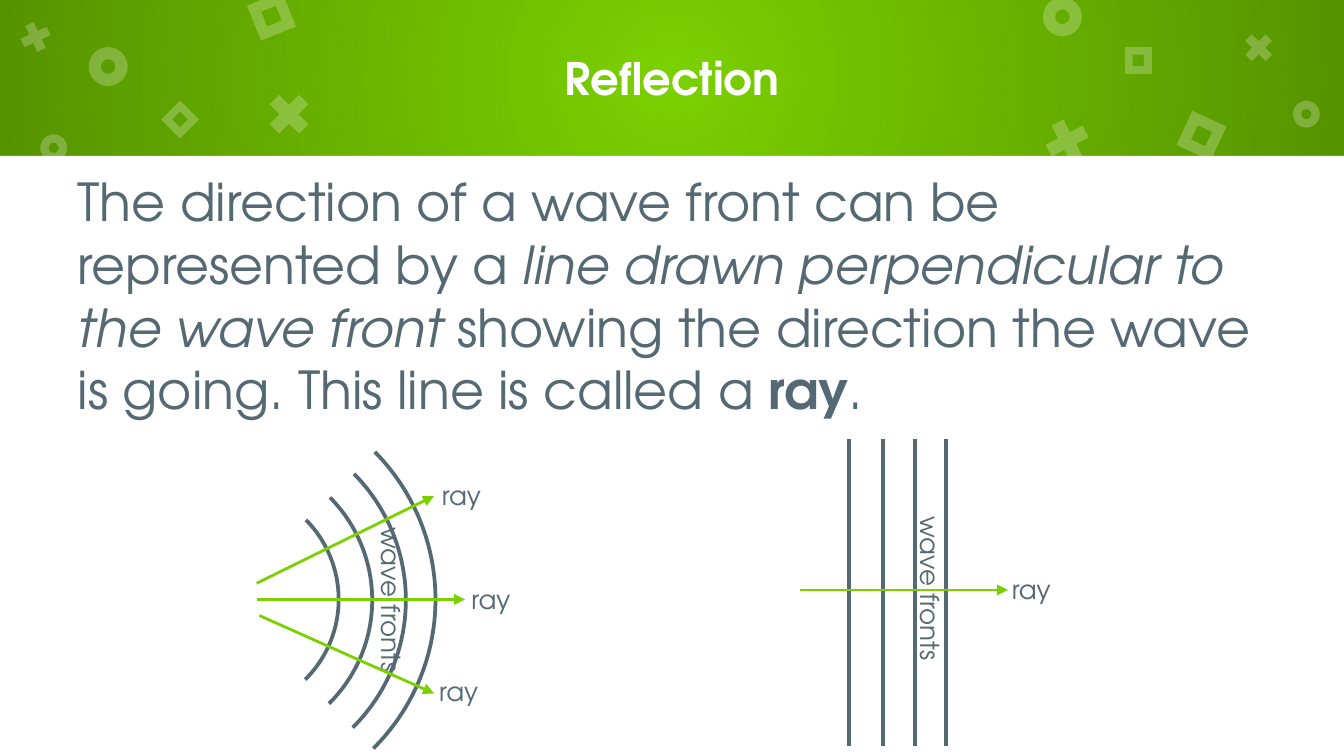
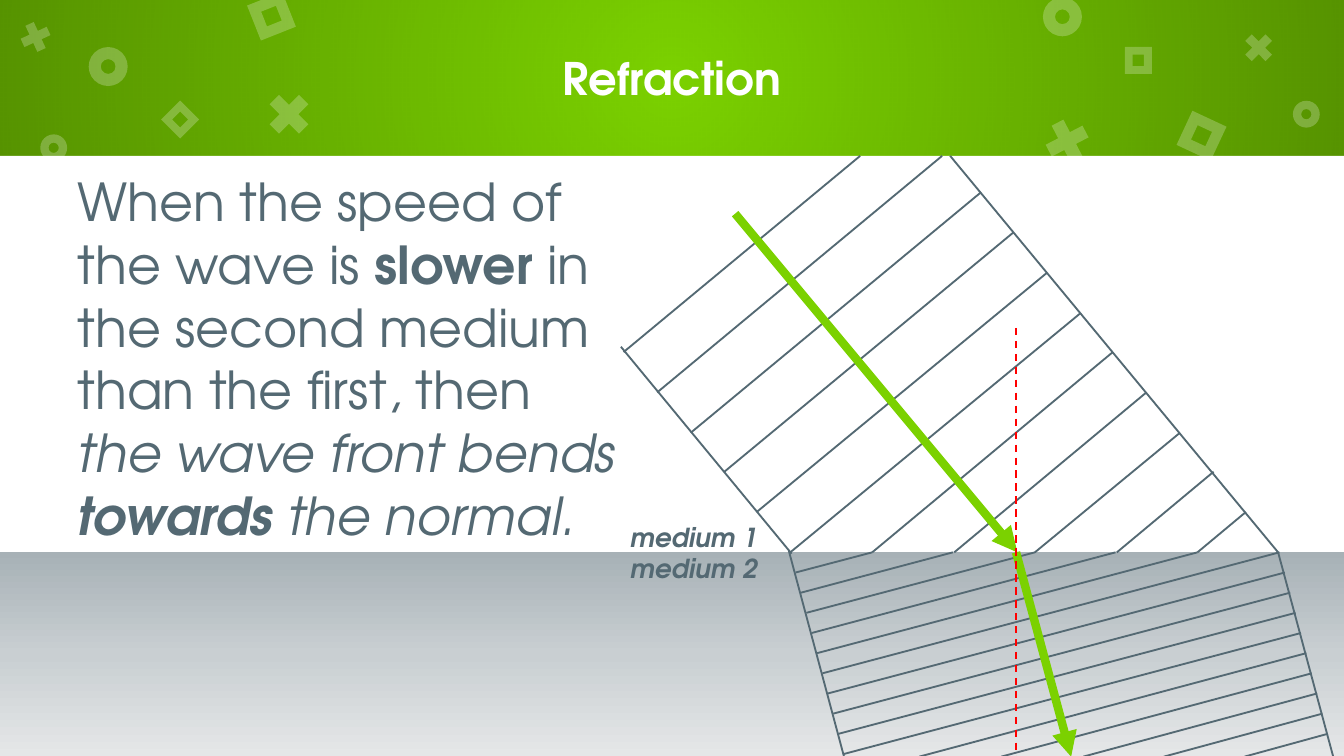
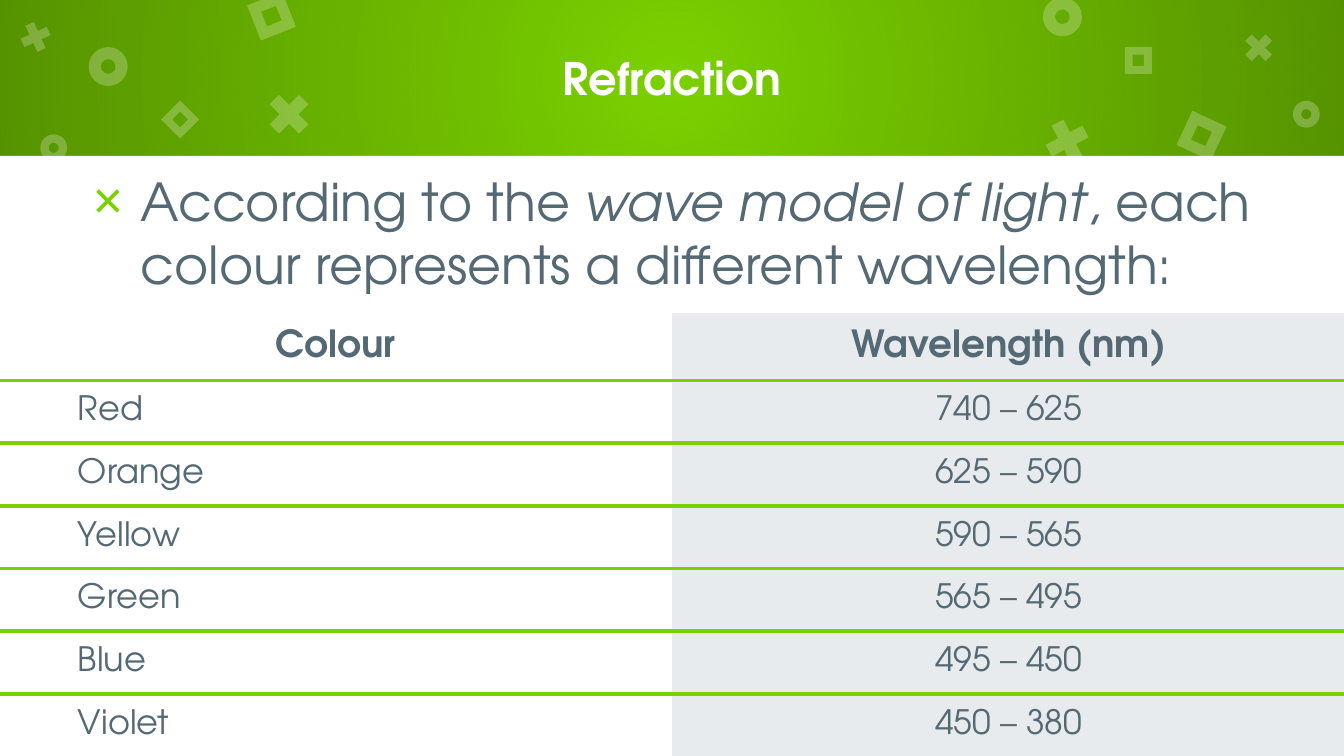
from dataclasses import dataclass

from lxml import etree
from pptx import Presentation
from pptx.dml.color import RGBColor
from pptx.enum.dml import MSO_LINE
from pptx.enum.shapes import MSO_CONNECTOR, MSO_SHAPE
from pptx.enum.text import MSO_ANCHOR, PP_ALIGN
from pptx.oxml import parse_xml
from pptx.oxml.ns import nsdecls, qn
from pptx.util import Pt

RECT, ARC = MSO_SHAPE.RECTANGLE, MSO_SHAPE.ARC
DONUT, CROSS, FRAME = MSO_SHAPE.DONUT, MSO_SHAPE.MATH_MULTIPLY, MSO_SHAPE.FRAME
STRAIGHT, DASH = MSO_CONNECTOR.STRAIGHT, MSO_LINE.DASH
LEFT, CENTER = PP_ALIGN.LEFT, PP_ALIGN.CENTER
TOP, MIDDLE = MSO_ANCHOR.TOP, MSO_ANCHOR.MIDDLE

EMU_PER_PX = 9144
SLIDE_W, BAND_H = 1000, 116
BOTTOM = 563  # the 16:9 height, rounded up to a whole px
PLAIN_TABLE = "{2D5ABB26-0587-4C30-8999-92F81FD0307C}"

ORNAMENT_CUT = {DONUT: 0.31, CROSS: 0.235, FRAME: 0.289}
ORNAMENTS = [
    (DONUT, 66, 35, 29, 0), (CROSS, 194, 64, 42, 0), (FRAME, 188, -2, 28, 338.4),
    (DONUT, 776, -2, 29, 0), (CROSS, 773, 84, 42, 17.5), (FRAME, 880, 87, 28, 25),
    (DONUT, 30, 100, 20, 0), (CROSS, 12, 13, 29, 20.4), (FRAME, 124, 79, 20, 45),
    (DONUT, 962, 75, 20, 0), (CROSS, 922, 21, 29, 0), (FRAME, 837, 35, 20, 0),
]


@dataclass(frozen=True)
class Theme:
    font: str = "TeX Gyre Adventor"
    green: str = "7BD100"
    ink: str = "546973"
    white: str = "FFFFFF"
    normal: str = "FF0000"
    column: str = "667F8C"
    band: tuple = ((0, "000000", 0), (100, "000000", 30))
    medium: tuple = ((0, "A7B1B6", 100), (50, "C9CFD2", 100), (100, "E5E7E8", 100))
    title: int = 24
    body: int = 28
    head: int = 20
    cell: int = 18
    label: int = 14


def px(length):
    return length * EMU_PER_PX


def rgb(code):
    return RGBColor.from_string(code)


def solid(fill, properties, color, alpha=100):
    """Fill with a colour; alpha is the opacity in percent."""
    fill.solid()
    fill.fore_color.rgb = rgb(color)
    if alpha < 100:
        tone = properties.find(qn("a:solidFill"))[0]
        etree.SubElement(tone, qn("a:alpha")).set("val", str(alpha * 1000))


class Deck:
    def __init__(self, theme):
        self.theme = theme
        self.presentation = Presentation()
        self.presentation.slide_width = px(SLIDE_W)
        self.presentation.slide_height = px(SLIDE_W) * 9 // 16
        self.slide = None

    def new_slide(self, title):
        theme = self.theme
        self.slide = self.presentation.slides.add_slide(self.presentation.slide_layouts[6])
        solid(self.slide.background.fill, None, theme.green)
        radial = ('<a:path path="circle"><a:fillToRect l="50000" t="50000" '
                  'r="50000" b="50000"/></a:path>')
        self.gradient((0, 0, SLIDE_W, BAND_H), theme.band, radial)
        page = self.shape(RECT, (0, BAND_H, SLIDE_W, BOTTOM - BAND_H))
        solid(page.fill, None, theme.white)
        for kind, x, y, size, turn in ORNAMENTS:
            ornament = self.shape(kind, (x, y, size, size), turn)
            ornament.adjustments[0] = ORNAMENT_CUT[kind]
            solid(ornament.fill, ornament._element.spPr, theme.white, 24)
        self.text((95, 0, 810, BAND_H), [[(title, "b")]], theme.title, theme.white,
                  CENTER, MIDDLE, inset=10)

    def shape(self, kind, box, turn=0):
        shape = self.slide.shapes.add_shape(kind, *map(px, box))
        shape.shadow.inherit = False
        shape.line.fill.background()
        shape.rotation = turn
        return shape

    def gradient(self, box, stops, direction):
        """Draw a rectangle with (position, colour, opacity) stops."""
        panel = self.shape(RECT, box)
        panel.fill.background()
        properties = panel._element.spPr
        steps = "".join(
            f'<a:gs pos="{place * 1000}"><a:srgbClr val="{color}">'
            f'<a:alpha val="{alpha * 1000}"/></a:srgbClr></a:gs>'
            for place, color, alpha in stops)
        blend = parse_xml(f'<a:gradFill {nsdecls("a")} rotWithShape="1">'
                          f'<a:gsLst>{steps}</a:gsLst>{direction}</a:gradFill>')
        properties.replace(properties.find(qn("a:noFill")), blend)

    def arc(self, center, diameter, turn):
        x, y = center
        front = self.shape(ARC, (x - diameter // 2, y - diameter // 2, diameter, diameter), turn)
        front.fill.background()
        front.line.color.rgb = rgb(self.theme.ink)
        front.line.width = Pt(2)

    def line(self, start, end, color, width, arrow=False, dash=None):
        line = self.slide.shapes.add_connector(STRAIGHT, *map(px, start + end))
        line.line.color.rgb = rgb(color)
        line.line.width = Pt(width)
        if dash:
            line.line.dash_style = dash
        properties = line._element.spPr
        if arrow:
            tip = etree.SubElement(properties.find(qn("a:ln")), qn("a:tailEnd"))
            tip.set("type", "triangle")
        etree.SubElement(properties, qn("a:effectLst"))

    def runs(self, paragraph, runs, size, color):
        """Add (text, style) runs; the style holds b for bold, i for italic."""
        for words, style in runs:
            run = paragraph.add_run()
            run.text = words
            font = run.font
            font.name, font.size, font.color.rgb = self.theme.font, Pt(size), rgb(color)
            font.bold, font.italic = "b" in style, "i" in style

    def text(self, box, paragraphs, size, color, align=LEFT, anchor=TOP, inset=None, turn=0):
        holder = self.slide.shapes.add_textbox(*map(px, box))
        holder.rotation = turn
        frame = holder.text_frame
        frame.word_wrap = True
        frame.vertical_anchor = anchor
        if inset is not None:
            frame.margin_left = frame.margin_right = px(inset)
            frame.margin_top = frame.margin_bottom = px(inset)
        for index, runs in enumerate(paragraphs):
            paragraph = frame.add_paragraph() if index else frame.paragraphs[0]
            paragraph.alignment = align
            self.runs(paragraph, runs, size, color)
        return frame

    def body(self, width, runs):
        return self.text((48, BAND_H, width, 422), [runs], self.theme.body,
                         self.theme.ink, inset=10)

    def label(self, box, words, align=LEFT, turn=0):
        self.text(box, [[(words, "")]], self.theme.label, self.theme.ink, align, turn=turn)

    def ray(self, start, end, label_at):
        self.line(start, end, self.theme.green, 1.5, arrow=True)
        self.label((*label_at, 50, 34), "ray")

    def bullet(self, paragraph, mark):
        properties = paragraph._p.get_or_add_pPr()
        properties.set("marL", str(px(47)))
        properties.set("indent", str(px(-36)))
        tone = etree.SubElement(properties, qn("a:buClr"))
        etree.SubElement(tone, qn("a:srgbClr")).set("val", self.theme.green)
        etree.SubElement(properties, qn("a:buFont")).set("typeface", self.theme.font)
        etree.SubElement(properties, qn("a:buChar")).set("char", mark)

    def table(self, box, head_height, rows):
        x, y, width, height = map(px, box)
        frame = self.slide.shapes.add_table(len(rows), len(rows[0]), x, y, width, height)
        next(frame._element.iter(qn("a:tableStyleId"))).text = PLAIN_TABLE
        table = frame.table
        table.first_row = table.horz_banding = False
        last = len(rows) - 1
        for r, row in enumerate(rows):
            table.rows[r].height = (height - px(head_height)) // last if r else px(head_height)
            for c, words in enumerate(row):
                edges = ["lnT"] * (r > 0) + ["lnB"] * (r < last)
                self.cell(table.cell(r, c), words, r == 0, c == 1, edges)

    def cell(self, cell, words, is_head, is_shaded, edges):
        theme = self.theme
        cell.margin_left = cell.margin_right = px(10)
        cell.margin_top = cell.margin_bottom = px(7)
        cell.vertical_anchor = MIDDLE
        properties = cell._tc.get_or_add_tcPr()
        for edge in edges:
            properties.append(parse_xml(
                f'<a:{edge} {nsdecls("a")} w="{Pt(2.25)}"><a:solidFill>'
                f'<a:srgbClr val="{theme.green}"/></a:solidFill></a:{edge}>'))
        if is_shaded:
            solid(cell.fill, properties, theme.column, 15)
        else:
            cell.fill.background()
        paragraph = cell.text_frame.paragraphs[0]
        if is_head or is_shaded:
            paragraph.alignment = CENTER
        else:
            paragraph._p.get_or_add_pPr().set("marL", str(px(49)))
        self.runs(paragraph, [(words, "b" if is_head else "")],
                  theme.head if is_head else theme.cell, theme.ink)


def reflection(deck):
    deck.new_slide("Reflection")
    deck.body(904, [
        ("The direction of a wave front can be represented by a ", ""),
        ("line drawn perpendicular to the wave front", "i"),
        (" showing the direction the wave is going. This line is called a ", ""),
        ("ray", "b"), (".", "")])

    for diameter in (312, 217, 267, 168):
        deck.arc((168, 446), diameter, 45.3)
    deck.label((191, 408, 158, 77), "wave fronts", CENTER, 90)
    deck.ray((191, 434), (323, 369), (319, 352))
    deck.ray((191, 446), (346, 446), (341, 429))
    deck.ray((193, 458), (323, 516), (317, 498))

    for x in (632, 657, 681, 704):
        deck.line((x, 327), (x, 555), deck.theme.ink, 2.25)
    deck.label((624, 421, 137, 34), "wave fronts", CENTER, 90)
    deck.ray((595, 439), (750, 439), (743, 422))


def refraction(deck):
    theme = deck.theme
    surface, left, right = 411, 588, 952
    deck.new_slide("Refraction")
    deck.gradient((0, surface, SLIDE_W, BOTTOM - surface), theme.medium,
                  '<a:lin ang="5400000" scaled="0"/>')
    deck.body(429, [
        ("When the speed of the wave is ", ""), ("slower", "b"),
        (" in the second medium than the first, then ", ""),
        ("the wave front bends ", "i"), ("towards", "bi"), (" the normal.", "i")])

    def above(edge, step):
        return edge - round(24.7 * step), surface - round(29.75 * step)

    def below(edge, step):
        return edge + round(4.05 * step), surface + round(15.05 * step)

    def front(start, end):
        deck.line(start, end, theme.ink, 1)

    # Six fronts meet the surface; later ones run between the beam's edges.
    for n in range(1, 12):
        start = above(right, n) if n < 10 else (701 - 61 * (n - 10), BAND_H)
        front(start, (right - round(60.6 * n), surface) if n <= 6 else above(left, n - 6))
    for n in range(1, 16):
        start = (left + round(60.6 * n), surface) if n <= 6 else below(right, n - 6)
        front(start, below(left, n) if n <= 10 else (624 + round(60.5 * (n - 10)), BOTTOM))

    front((right - 1, surface), (707, BAND_H))
    front((left + 1, surface + 1), (462, 258))
    front((left - 1, surface - 1), (628, BOTTOM))
    front((right - 1, surface), (992, BOTTOM))

    deck.line((547, 159), (757, surface), theme.green, 4.5, arrow=True)
    deck.line((756, surface), (797, BOTTOM), theme.green, 4.5, arrow=True)
    deck.line((756, 244), (756, BOTTOM), theme.normal, 1, dash=DASH)
    deck.text((459, 383, 127, 57), [[("medium 1", "bi")], [("medium 2", "bi")]],
              theme.label, theme.ink)


def wavelengths(deck):
    deck.new_slide("Refraction")
    statement = deck.body(906, [
        ("According to the ", ""), ("wave model of light", "i"),
        (", each colour represents a different wavelength:", "")])
    deck.bullet(statement.paragraphs[0], "×")
    deck.table((-1, 233, 1002, 330), 50, [
        ("Colour", "Wavelength (nm)"),
        ("Red", "740 – 625"),
        ("Orange", "625 – 590"),
        ("Yellow", "590 – 565"),
        ("Green", "565 – 495"),
        ("Blue", "495 – 450"),
        ("Violet", "450 – 380"),
    ])


def main():
    deck = Deck(Theme())
    reflection(deck)
    refraction(deck)
    wavelengths(deck)
    deck.presentation.save("out.pptx")


if __name__ == "__main__":
    main()
